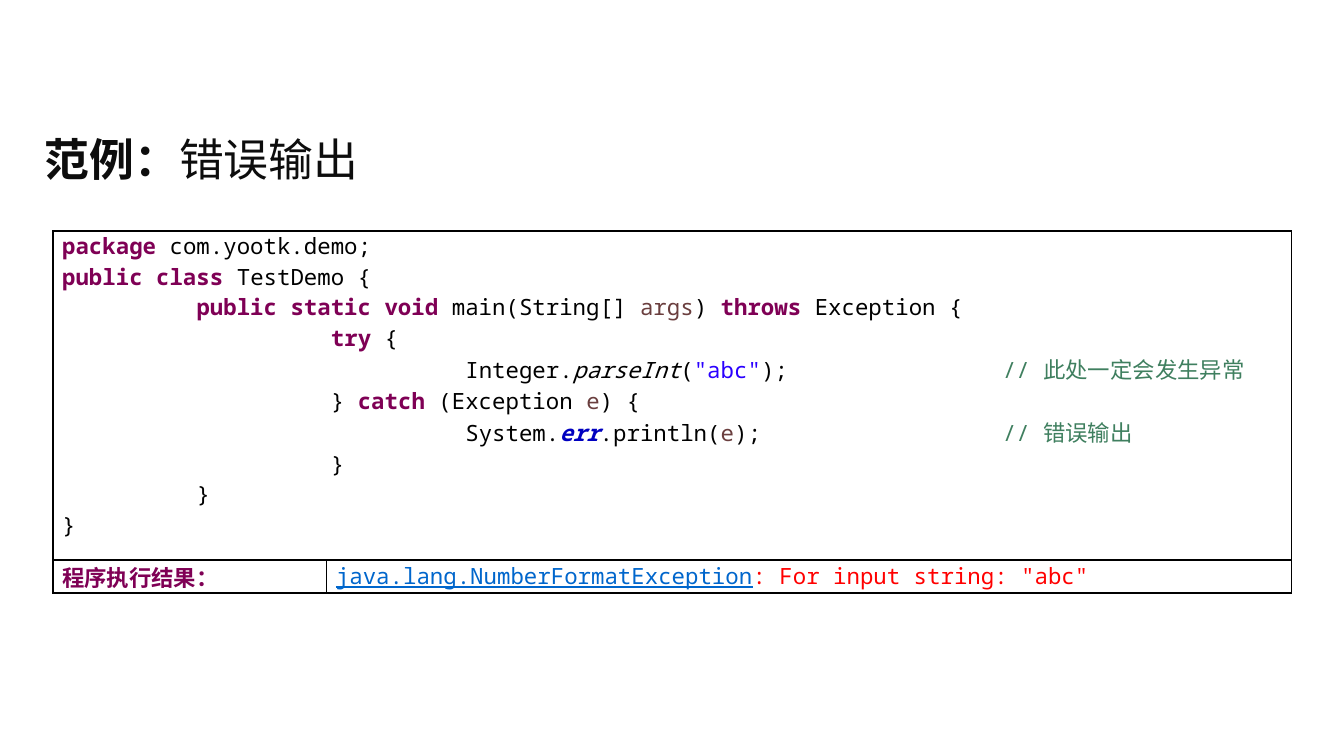
from dataclasses import dataclass

from lxml.etree import SubElement
from pptx import Presentation
from pptx.dml.color import RGBColor
from pptx.enum.text import MSO_ANCHOR
from pptx.oxml import parse_xml
from pptx.oxml.ns import nsdecls, qn
from pptx.util import Pt


@dataclass(frozen=True)
class Theme:
    mono: str = "Noto Sans Mono"
    cjk: str = "Noto Sans CJK SC"
    title_size: float = 24
    code_size: float = 12
    tab_width: float = 72
    border_width: float = 1
    title: str = "0D0D0D"
    plain: str = "000000"
    keyword: str = "7F0055"
    variable: str = "6A3E3E"
    literal: str = "2A00FF"
    static_field: str = "0000C0"
    comment: str = "3F7F5F"
    link: str = "0066CC"
    error: str = "FF0000"
    border: str = "000000"


THEME = Theme()


@dataclass(frozen=True)
class Span:
    text: str
    color: str = THEME.plain
    bold: bool = False
    italic: bool = False
    underline: bool = False


def keyword(text: str) -> Span:
    return Span(text, THEME.keyword, bold=True)


def variable(text: str) -> Span:
    return Span(text, THEME.variable)


def comment(text: str) -> Span:
    return Span(text, THEME.comment)


Line = list[Span]

HEADING: Line = [Span("范例：", THEME.title, bold=True), Span("错误输出", THEME.title)]

CODE: list[Line] = [
    [keyword("package"), Span(" com.yootk.demo;")],
    [keyword("public class"), Span(" TestDemo {")],
    [Span("\t"), keyword("public static void"), Span(" main(String[] "), variable("args"),
     Span(") "), keyword("throws"), Span(" Exception {")],
    [Span("\t\t"), keyword("try"), Span(" {")],
    [Span("\t\t\tInteger."), Span("parseInt", italic=True), Span("("),
     Span('"abc"', THEME.literal), Span(");\t\t"), comment("// 此处一定会发生异常")],
    [Span("\t\t} "), keyword("catch"), Span(" (Exception "), variable("e"), Span(") {")],
    [Span("\t\t\tSystem."), Span("err", THEME.static_field, bold=True, italic=True),
     Span(".println("), variable("e"), Span(");\t\t"), comment("// 错误输出")],
    [Span("\t\t}")],
    [Span("\t}")],
    [Span("}")],
]
TAB_STOPS = 7

RESULT_LABEL: Line = [keyword("程序执行结果：")]
RESULT: Line = [
    Span("java.lang.NumberFormatException", THEME.link, underline=True),
    Span(': For input string: "abc"', THEME.error),
]


def set_tab_stops(paragraph) -> None:
    tab_list = SubElement(paragraph._p.get_or_add_pPr(), qn("a:tabLst"))
    for stop in range(1, TAB_STOPS + 1):
        SubElement(tab_list, qn("a:tab"), pos=str(Pt(stop * THEME.tab_width)), algn="l")


def write_lines(frame, lines: list[Line], font_name: str, size: float) -> None:
    for index, line in enumerate(lines):
        paragraph = frame.add_paragraph() if index else frame.paragraphs[0]
        if any("\t" in span.text for span in line):
            set_tab_stops(paragraph)
        for span in line:
            run = paragraph.add_run()
            run.text = span.text
            formats = {
                "name": font_name,
                "size": Pt(size),
                "bold": span.bold,
                "italic": span.italic,
                "underline": span.underline,
            }
            for attribute, value in formats.items():
                setattr(run.font, attribute, value)
            run.font.color.rgb = RGBColor.from_string(span.color)
            SubElement(run.font._element, qn("a:ea"), typeface=THEME.cjk)


def format_cell(cell) -> None:
    """Clear the fill, tighten the margins and draw all four borders."""
    margins = {
        "margin_left": Pt(5),
        "margin_right": Pt(5),
        "margin_top": Pt(0),
        "margin_bottom": Pt(0),
    }
    for attribute, value in margins.items():
        setattr(cell, attribute, value)
    cell.fill.background()
    properties = cell._tc.get_or_add_tcPr()
    for position, side in enumerate(("lnL", "lnR", "lnT", "lnB")):
        properties.insert(position, parse_xml(
            f'<a:{side} {nsdecls("a")} w="{Pt(THEME.border_width)}"><a:solidFill>'
            f'<a:srgbClr val="{THEME.border}"/></a:solidFill></a:{side}>'))


def add_heading(slide) -> None:
    frame = slide.shapes.add_textbox(Pt(16.8), Pt(62), Pt(686), Pt(46)).text_frame
    frame.word_wrap = True
    frame.vertical_anchor = MSO_ANCHOR.MIDDLE
    write_lines(frame, [HEADING], THEME.cjk, THEME.title_size)


def add_listing(slide) -> None:
    column_widths = (146.7, 517)
    row_heights = (176.4, 17.6)
    listing = slide.shapes.add_table(
        len(row_heights), len(column_widths), Pt(28.3), Pt(123.7),
        Pt(sum(column_widths)), Pt(sum(row_heights))).table
    listing.first_row = listing.horz_banding = False
    for column, width in zip(listing.columns, column_widths):
        column.width = Pt(width)
    for row, height in zip(listing.rows, row_heights):
        row.height = Pt(height)
    for cell in listing.iter_cells():
        format_cell(cell)
    listing.cell(0, 0).merge(listing.cell(0, 1))
    contents = {(0, 0): CODE, (1, 0): [RESULT_LABEL], (1, 1): [RESULT]}
    for (row, column), lines in contents.items():
        write_lines(listing.cell(row, column).text_frame, lines, THEME.mono, THEME.code_size)


def main() -> None:
    presentation = Presentation()
    presentation.slide_width = Pt(720)
    presentation.slide_height = Pt(405)
    slide = presentation.slides.add_slide(presentation.slide_layouts[6])
    add_heading(slide)
    add_listing(slide)
    presentation.save("out.pptx")


if __name__ == "__main__":
    main()
